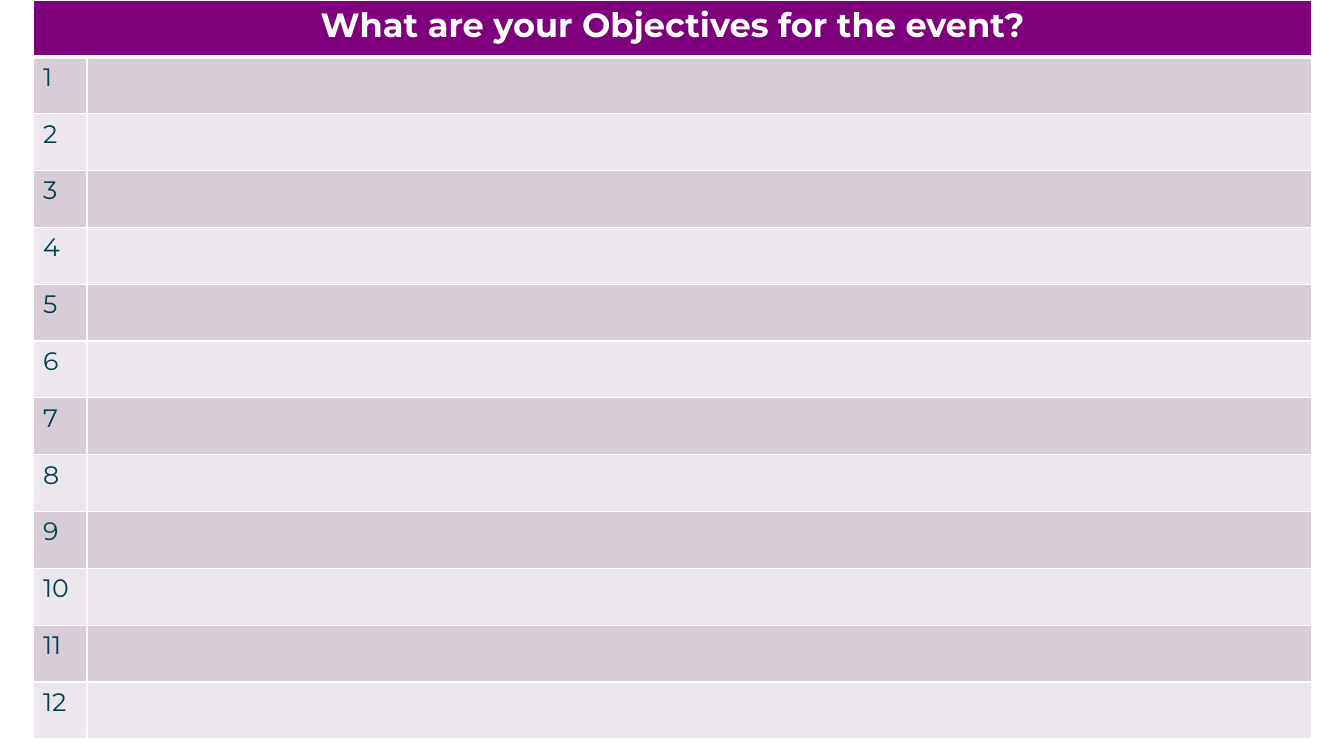
from lxml import etree
from pptx import Presentation
from pptx import util as u
from pptx.dml.color import RGBColor
from pptx.enum import text
from pptx.oxml.ns import qn

THEME = {
    "font": "Montserrat",
    "header_fill": "7F007D",
    "header_text": "FFFFFF",
    "header_size": 24,
    "number_text": "004050",
    "number_size": 18,
    "bands": ("D8CCD7", "ECE7EC"),
    "border": "FFFFFF",
}
PX = 914400 / 100.8
OBJECTIVE_COUNT = 12
COLUMN_WIDTHS = (54, 1225)
TABLE_HEIGHT = 739


def px(length):
    return u.Emu(round(length * PX))


def style_cell(cell, fill, color, size, bottom_width=1):
    """Apply borders, fill and font to one table cell."""
    properties = cell._tc.get_or_add_tcPr()
    for side, width in (("L", 1), ("R", 1), ("T", 1), ("B", bottom_width)):
        line = etree.SubElement(properties, qn(f"a:ln{side}"), w=str(u.Pt(width)))
        solid = etree.SubElement(line, qn("a:solidFill"))
        etree.SubElement(solid, qn("a:srgbClr"), val=THEME["border"])
    cell.fill.solid()
    cell.fill.fore_color.rgb = RGBColor.from_string(fill)
    font = cell.text_frame.paragraphs[0].font
    font.name = THEME["font"]
    font.size = u.Pt(size)
    font.color.rgb = RGBColor.from_string(color)
    font.bold = False


presentation = Presentation()
presentation.slide_width = px(1344)
presentation.slide_height = px(756)
slide = presentation.slides.add_slide(presentation.slide_layouts[6])

row_count = OBJECTIVE_COUNT + 1
table = slide.shapes.add_table(
    row_count, 2, px(33), px(0), px(sum(COLUMN_WIDTHS)), px(TABLE_HEIGHT)
).table
for column, width in zip(table.columns, COLUMN_WIDTHS):
    column.width = px(width)
for row in table.rows:
    row.height = px(TABLE_HEIGHT / row_count)

header = table.cell(0, 0)
header.merge(table.cell(0, 1))
header.text_frame.text = "What are your Objectives for the event?"
for cell in table.rows[0].cells:
    style_cell(cell, THEME["header_fill"], THEME["header_text"], THEME["header_size"], 3)
title = header.text_frame.paragraphs[0]
title.alignment = text.PP_ALIGN.CENTER
title.font.bold = True

for number in range(1, row_count):
    table.cell(number, 0).text_frame.text = str(number)
    band = THEME["bands"][(number - 1) % 2]
    for cell in table.rows[number].cells:
        style_cell(cell, band, THEME["number_text"], THEME["number_size"])

# The header rule is shared with the first objective row.
for cell in table.rows[1].cells:
    cell._tc.tcPr.find(qn("a:lnT")).set("w", str(u.Pt(3)))

presentation.save("out.pptx")
